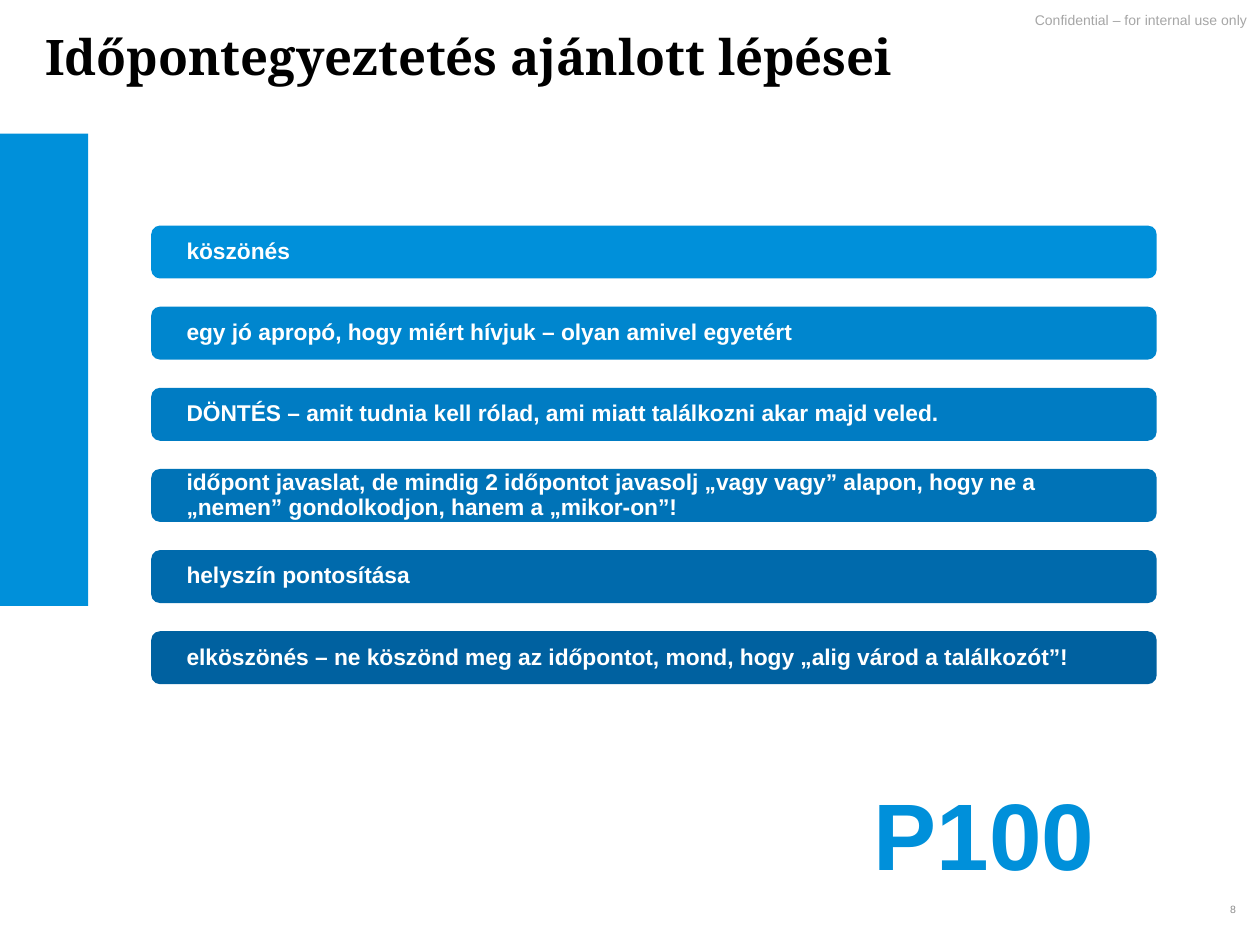
import pptx
import pptx.util
import pptx.dml.color
import pptx.enum.shapes
import pptx.enum.text

Inches = pptx.util.Inches
ALIGN = pptx.enum.text.PP_ALIGN
ANCHOR = pptx.enum.text.MSO_ANCHOR
SHAPE = pptx.enum.shapes.MSO_SHAPE

COLORS = {
    "accent": "0090DA",
    "title": "000000",
    "bar_text": "FFFFFF",
    "notice": "A6A6A6",
    "number": "8C8C8C",
}
STEPS = [
    ("köszönés", "0090DA"),
    ("egy jó apropó, hogy miért hívjuk – olyan amivel egyetért", "0086CE"),
    ("DÖNTÉS – amit tudnia kell rólad, ami miatt találkozni akar majd veled.", "007CC3"),
    ("időpont javaslat, de mindig 2 időpontot javasolj „vagy vagy” alapon, "
     "hogy ne a „nemen” gondolkodjon, hanem a „mikor-on”!", "0073B7"),
    ("helyszín pontosítása", "006AAC"),
    ("elköszönés – ne köszönd meg az időpontot, mond, hogy „alig várod a találkozót”!", "0061A0"),
]
STEP_TOP = 1.79
STEP_PITCH = 0.644


def rgb(color):
    return pptx.dml.color.RGBColor.from_string(color)


def apply(target, values):
    for name, value in values.items():
        setattr(target, name, value)


def write(shape, text, size, color, font="Arial", bold=False, align=ALIGN.LEFT,
          anchor=ANCHOR.TOP, insets=(0.07, 0.04), spacing=1.0, wrap=True):
    horizontal, vertical = map(Inches, insets)
    frame = shape.text_frame
    frame.text = text
    apply(frame, {
        "auto_size": pptx.enum.text.MSO_AUTO_SIZE.NONE,
        "word_wrap": wrap,
        "vertical_anchor": anchor,
        "margin_left": horizontal,
        "margin_right": horizontal,
        "margin_top": vertical,
        "margin_bottom": vertical,
    })
    paragraph = frame.paragraphs[0]
    apply(paragraph, {"alignment": align, "line_spacing": spacing})
    run_font = paragraph.runs[0].font
    apply(run_font, {"name": font, "size": pptx.util.Pt(size), "bold": bold})
    run_font.color.rgb = rgb(color)


def add_title(slide, text):
    title = slide.shapes.title
    apply(title, {"left": Inches(0.29), "top": Inches(0.22),
                  "width": Inches(7.59), "height": Inches(0.72)})
    write(title, text, 28, COLORS["title"], font="Noto Serif", bold=True, spacing=0.9)


def add_block(slide, kind, box, color):
    shape = slide.shapes.add_shape(kind, *map(Inches, box))
    shape.shadow.inherit = False
    shape.fill.solid()
    shape.fill.fore_color.rgb = rgb(color)
    shape.line.fill.background()
    return shape


def add_label(slide, box, text, size, color, **style):
    write(slide.shapes.add_textbox(*map(Inches, box)), text, size, color, **style)


def add_steps(slide):
    for index, (text, color) in enumerate(STEPS):
        box = (1.2, STEP_TOP + index * STEP_PITCH, 7.98, 0.42)
        bar = add_block(slide, SHAPE.ROUNDED_RECTANGLE, box, color)
        write(bar, text, 13, COLORS["bar_text"], bold=True, anchor=ANCHOR.MIDDLE,
              insets=(0.26, 0), spacing=0.9)


def main():
    presentation = pptx.Presentation()
    apply(presentation, {"slide_width": Inches(10), "slide_height": Inches(7.5)})
    slide = presentation.slides.add_slide(presentation.slide_layouts[5])
    add_block(slide, SHAPE.RECTANGLE, (0, 1.06, 0.7, 3.75), COLORS["accent"])
    add_label(slide, (6.94, 0.11, 3.06, 0.23), "Confidential – for internal use only",
              8, COLORS["notice"], align=ALIGN.RIGHT, insets=(0.1, 0), spacing=0.9)
    add_label(slide, (9.14, 7.02, 0.74, 0.4), "8", 6, COLORS["number"],
              align=ALIGN.RIGHT, anchor=ANCHOR.MIDDLE)
    add_steps(slide)
    add_title(slide, "Időpontegyeztetés ajánlott lépései")
    add_label(slide, (6.81, 6.11, 2, 1.01), "P100", 54, COLORS["accent"], bold=True,
              align=ALIGN.CENTER, insets=(0.1, 0.05), wrap=False)
    presentation.save("out.pptx")


if __name__ == "__main__":
    main()
